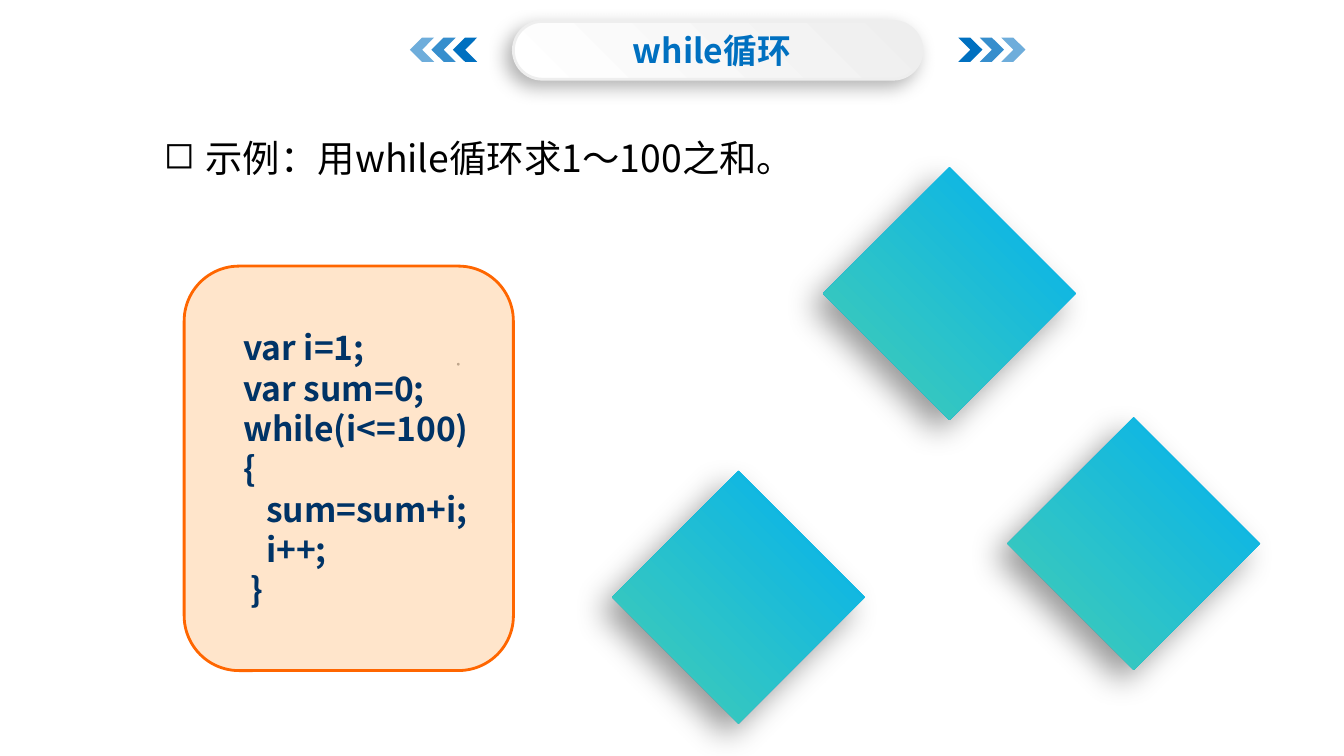
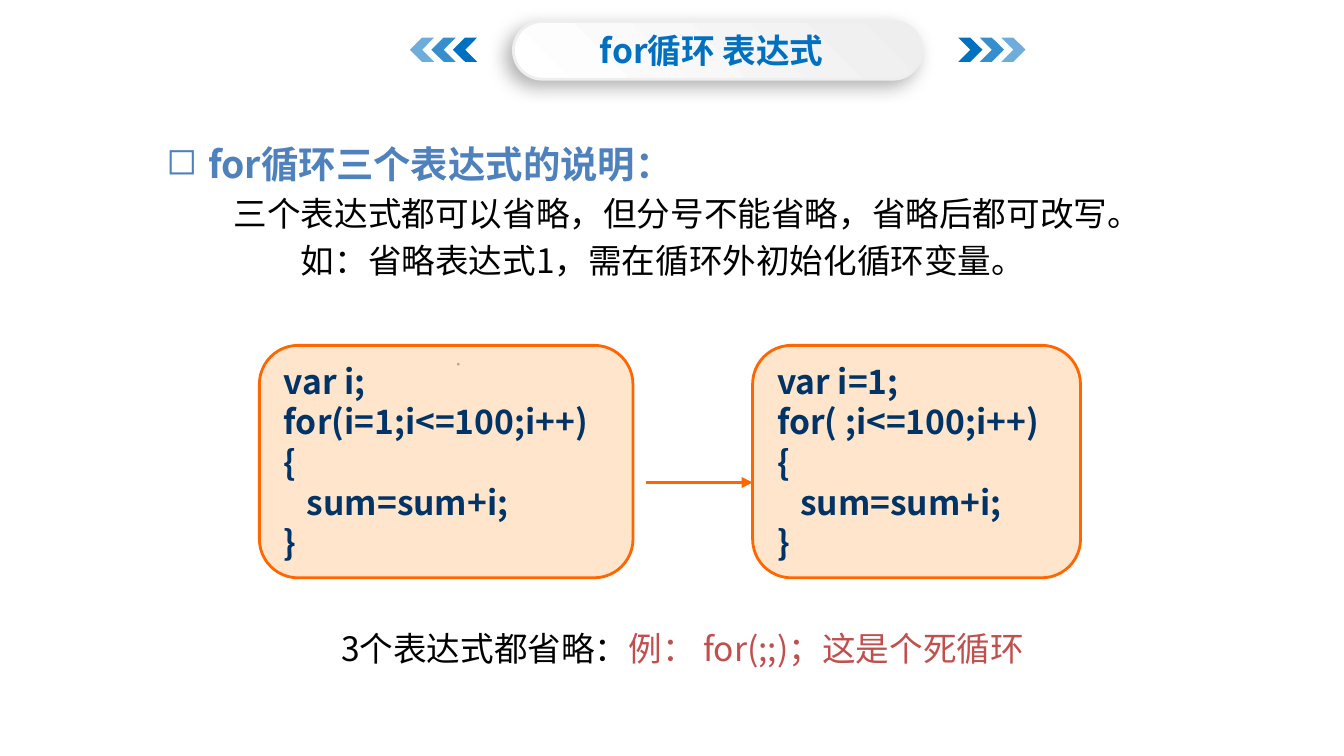
from collections import namedtuple

from lxml import etree
from pptx import Presentation
from pptx import util as u
from pptx.dml.color import RGBColor
from pptx.enum import shapes, text
from pptx.oxml.ns import qn

CELL = u.Inches(0.1)
COLUMNS, ROWS = 100, 56.25
FACE, PLAIN_FACE = "Noto Sans CJK SC", "Arial"
BLUE, HEADING, BLACK, RED = "0070C0", "4F81BD", "000000", "C0504D"
CODE, ORANGE, PEACH, GREY = "003366", "FF6600", "FFCC99", "808080"
PILL_STOPS, DIAMOND_STOPS = ("EEEEEE", "FFFFFF"), ("00B0F0", "46CEB2")
SHAPE = shapes.MSO_SHAPE

Box = namedtuple("Box", "left top width height")
Span = namedtuple("Span", "words face color", defaults=(None, None))


def cells(count):
    return u.Emu(round(count * CELL))


def rgb(value):
    return RGBColor.from_string(value)


def child(parent, tag, **attributes):
    return etree.SubElement(parent, qn(tag), {key: str(value) for key, value in attributes.items()})


def add_alpha(color, percent):
    child(color, "a:alpha", val=percent * 1000)


def add_shape(owner, kind, box, fill=None, line=None, alpha=100, turn=0):
    shape = owner.shapes.add_shape(kind, *map(cells, box))
    shape.shadow.inherit = False
    shape.rotation = turn
    if fill:
        shape.fill.solid()
        shape.fill.fore_color.rgb = rgb(fill)
        if alpha < 100:
            add_alpha(shape._element.spPr.find(qn("a:solidFill"))[0], alpha)
    if line:
        shape.line.color.rgb = rgb(line)
        shape.line.width = u.Pt(1.5)
    else:
        shape.line.fill.background()
    return shape


def add_gradient(shape, stops, angle):
    shape.fill.gradient()
    shape.fill.gradient_angle = 360 - angle
    for stop, color in zip(shape.fill.gradient_stops, stops):
        stop.color.rgb = rgb(color)


def add_shadow(shape, alpha, blur, distance):
    effects = shape._element.spPr.find(qn("a:effectLst"))
    shadow = child(effects, "a:outerShdw", blurRad=u.Pt(blur), dist=u.Pt(distance),
                   dir=135 * 60000, algn="tr", rotWithShape=0)
    add_alpha(child(shadow, "a:srgbClr", val=BLACK), alpha)


def add_text(page, box, inset=(1, 0.5)):
    frame = page.shapes.add_textbox(*map(cells, box)).text_frame
    frame.word_wrap = True
    frame.margin_left = frame.margin_right = cells(inset[0])
    frame.margin_top = frame.margin_bottom = cells(inset[1])
    return frame


def write(frame, spans, size=18, color=BLACK, bold=False, left=0, first=0, bullet=None, before=0):
    para = frame.paragraphs[0]
    if para.runs:
        para = frame.add_paragraph()
    para.alignment = text.PP_ALIGN.LEFT
    if before:
        para.space_before = u.Pt(before)
    props = para._p.get_or_add_pPr()
    props.set("marL", str(cells(left)))
    props.set("indent", str(cells(first)))
    if bullet:
        child(props, "a:buChar", char=bullet)
    else:
        child(props, "a:buNone")
    para.font.size = u.Pt(size)
    para.font.bold = bold
    para.font.color.rgb = rgb(color)
    para.font.name = FACE
    child(props.find(qn("a:defRPr")), "a:ea", typeface=FACE)
    for item in spans:
        span = para.add_run()
        span.text = item.words
        if item.face:
            span.font.name = item.face
        if item.color:
            span.font.color.rgb = rgb(item.color)
    return para


def chevrons(page, box, direction):
    group = page.shapes.add_group_shape()
    for index, alpha in enumerate((100, 79, 57)):
        spot = box._replace(left=box.left + direction * index * 1.6)
        add_shape(group, SHAPE.CHEVRON, spot, BLUE, alpha=alpha, turn=0 if direction > 0 else 180)


def header(page, box, title):
    pill = add_shape(page, SHAPE.ROUNDED_RECTANGLE, box, line=PILL_STOPS[0])
    pill.adjustments[0] = 0.5
    add_gradient(pill, PILL_STOPS, 135)
    add_shadow(pill, 30, 10, 5)
    frame = add_text(page, Box(box.left, box.top + 0.3, box.width - 0.9, 3.6), (0.6, 0.3))
    para = write(frame, [Span(title)], color=BLUE, bold=True)
    para.alignment = text.PP_ALIGN.CENTER
    arrow = Box(box.left + box.width + 2.7, box.top + 1.2, 1.8, 1.8)
    chevrons(page, arrow, 1)
    chevrons(page, arrow._replace(left=box.left - 4.5), -1)


def code_panel(page, box, lines, inset=1):
    panel = add_shape(page, SHAPE.FLOWCHART_ALTERNATE_PROCESS, box, PEACH, ORANGE, alpha=50)
    frame = panel.text_frame
    frame.word_wrap = True
    frame.margin_left = cells(inset)
    frame.vertical_anchor = text.MSO_ANCHOR.MIDDLE
    for line in lines:
        write(frame, [Span(line)], color=CODE, bold=True)


def diamond(page, box):
    shape = add_shape(page, SHAPE.RECTANGLE, box, turn=45)
    add_gradient(shape, DIAMOND_STOPS, 90)
    add_shadow(shape, 40, 17, 9)


def arrow(page, left, right, row):
    line = page.shapes.add_connector(shapes.MSO_CONNECTOR.STRAIGHT, *map(cells, (left, row, right, row)))
    line.line.color.rgb = rgb(ORANGE)
    line.line.width = u.Pt(1.5)
    child(line.line._get_or_add_ln(), "a:tailEnd", type="triangle")
    child(line._element.spPr, "a:effectLst")


def new_page(deck, title):
    page = deck.slides.add_slide(deck.slide_layouts[6])
    header(page, Box(38.2, 1.6, 30.4, 4.3), title)
    add_shape(page, SHAPE.OVAL, Box(34, 27, 0.2, 0.2), GREY, turn=31)
    return page


def while_page(deck):
    page = new_page(deck, "while循环")
    frame = add_text(page, Box(6.2, 9.6, 87.5, 4.5))
    write(frame, [Span("示例：用while循环求1～100之和"), Span("。", PLAIN_FACE)],
          size=20, left=8.1, first=-3.1, bullet="◻")
    code_panel(page, Box(13.7, 19.8, 24.5, 30.1),
               ("var i=1;", "var sum=0;", "while(i<=100)", "{", "   sum=sum+i;", "   i++;", " }"),
               inset=3.2)
    for left, top in ((77.7, 33.8), (64, 15.2), (48.3, 37.8)):
        diamond(page, Box(left, top, 13.3, 13.3))


def for_page(deck):
    page = new_page(deck, "for循环 表达式")
    frame = add_text(page, Box(6.4, 10, 87.1, 12.8))
    write(frame, [Span("for循环三个表达式的说明：")], size=20, color=HEADING, bold=True,
          left=8.1, first=-3.1, bullet="◻")
    write(frame, [Span("三个表达式都可以省略，但分号不能省略，省略后都可改写。")],
          left=12.5, first=-2.5, before=3.6)
    write(frame, [Span("如：省略表达式", PLAIN_FACE), Span("1"),
                  Span("，需在循环外初始化循环变量。", PLAIN_FACE)],
          left=17.5, first=-2.5, before=3.6)
    body = ("{", "   sum=sum+i;", "}")
    before, after = Box(19.3, 25.7, 27.8, 17.3), Box(56, 25.7, 24.4, 17.3)
    code_panel(page, before, ("var i;", "for(i=1;i<=100;i++)", *body))
    code_panel(page, after, ("var i=1;", "for( ;i<=100;i++)", *body))
    arrow(page, before.left + before.width + 1, after.left, 35.9)
    frame = add_text(page, Box(9.4, 46.2, 71, 4))
    write(frame, [Span("3个表达式都省略："), Span("例： for(;;)；这是个死循环", color=RED)], left=15)


def main():
    deck = Presentation()
    deck.slide_width, deck.slide_height = cells(COLUMNS), cells(ROWS)
    while_page(deck)
    for_page(deck)
    deck.save("out.pptx")


if __name__ == "__main__":
    main()
